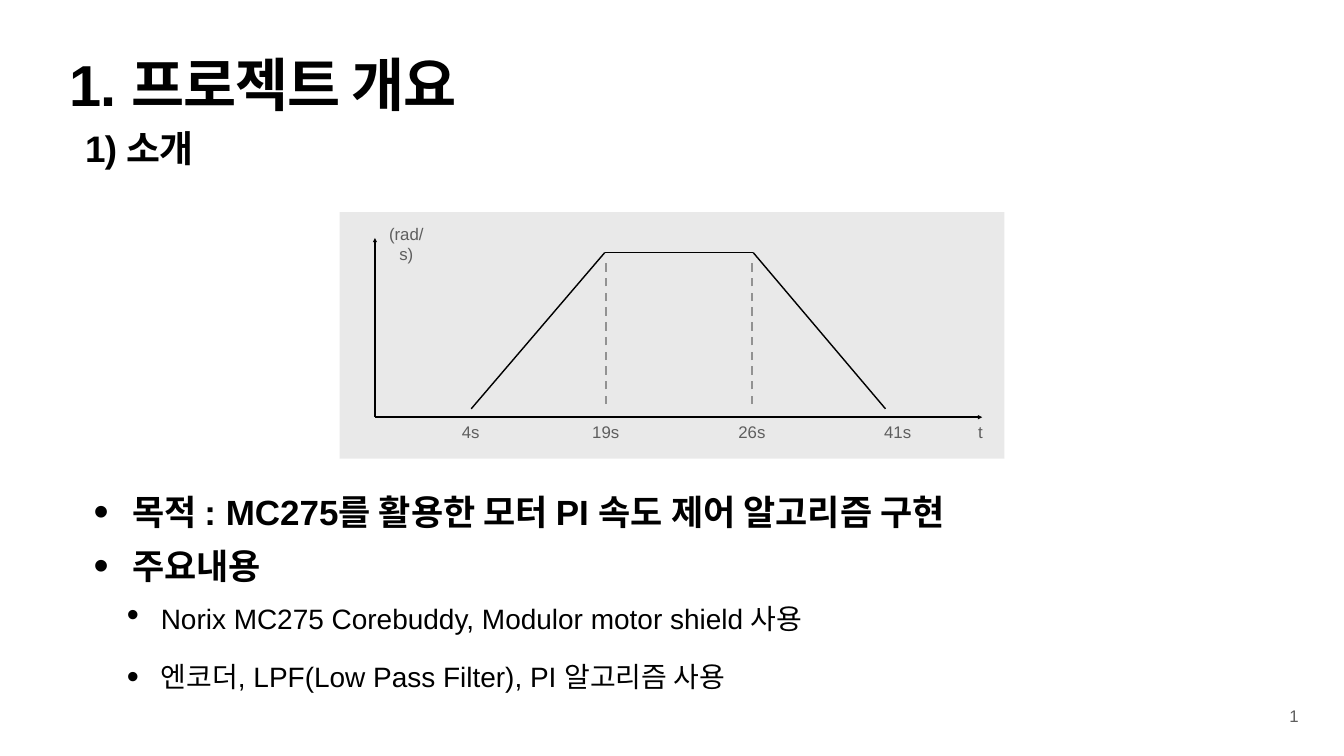
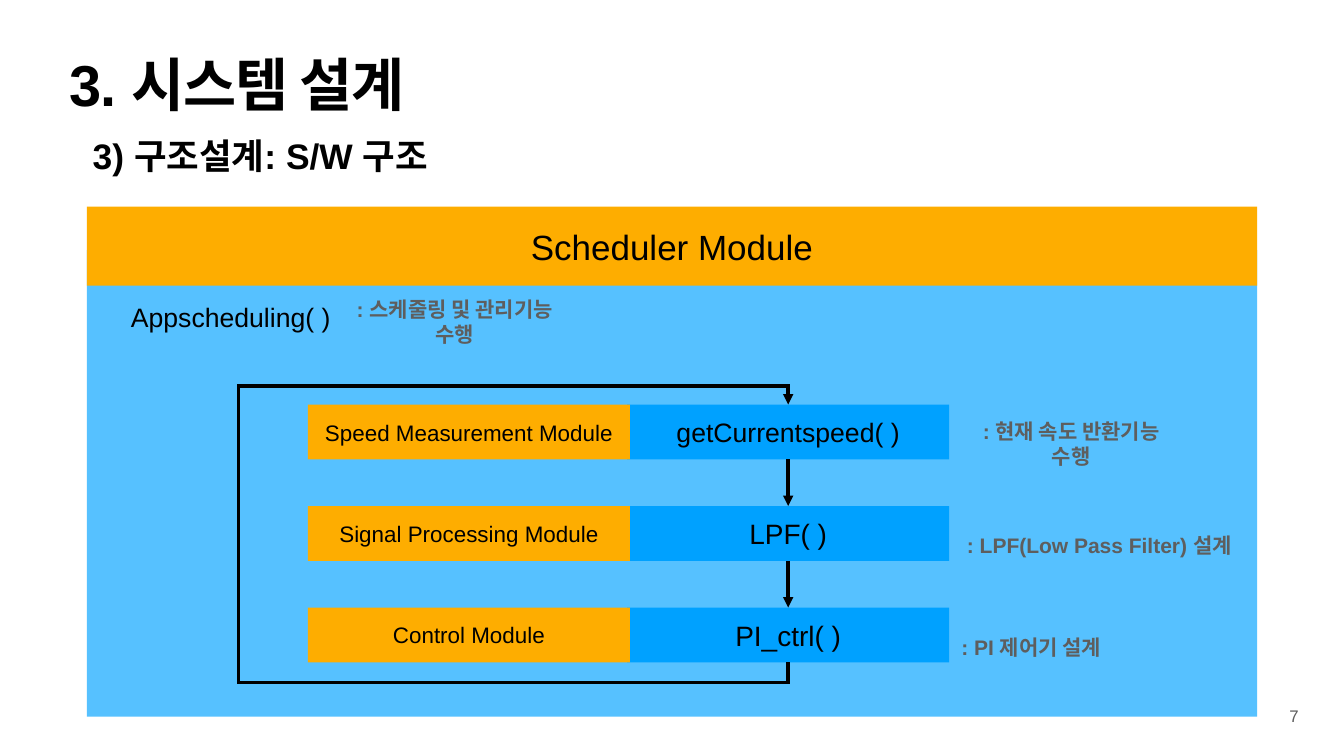
"""Builds two slides on a motor speed control project: overview and software structure."""
from dataclasses import dataclass

from lxml import etree
from pptx import Presentation
from pptx import util as u
from pptx.dml.color import RGBColor
from pptx.enum import dml, shapes, text
from pptx.oxml.ns import qn


@dataclass(frozen=True)
class Theme:
    font: str = "Arial"
    ink: str = "000000"
    muted: str = "5E5E5E"
    dash: str = "929292"
    plot: str = "D5D5D5"
    sky: str = "56C1FF"
    blue: str = "00A1FF"
    amber: str = "FEAD00"
    title: float = 82.5
    heading: float = 50
    function: float = 40
    call: float = 38
    module: float = 32
    note: float = 30
    label: float = 24


THEME = Theme()
WIDTH, HEIGHT = u.Inches(26.67), u.Inches(15)
COLUMNS, ROWS = 96, 54
INSET = u.Inches(0.06)

OVERVIEW = {
    "title": "1. 프로젝트 개요",
    "subtitle": "1) 소개",
    "subtitle_style": {"size": 52.7, "tracking": -110},
    "subtitle_spacing": 0.8,
    "subtitle_indent": 0.31,
    "number": "1",
}
STRUCTURE = {
    "title": "3. 시스템 설계",
    "subtitle": "3) 구조설계: S/W 구조",
    "subtitle_style": {"size": 50.6},
    "subtitle_spacing": 1.0,
    "subtitle_indent": 0.46,
    "number": "7",
}

# level, text, line spacing, space before
POINTS = [
    (0, "목적 : MC275를 활용한 모터 PI 속도 제어 알고리즘 구현", 1.0, 0),
    (0, "주요내용", 1.0, 17),
    (1, "Norix MC275 Corebuddy, Modulor motor shield 사용", 0.4, 45),
    (1, "엔코더, LPF(Low Pass Filter), PI 알고리즘 사용", 0.9, 45),
]
POINT_INDENTS = [(0.76, -0.76), (1.33, -0.67)]

PLOT = (24.26, 15.16, 47.48, 17.6)
PROFILE = [(33.66, 29.2), (43.2, 18.04), (53.8, 18.04), (63.25, 29.2)]
ORIGIN, TIME_END, SPEED_END = (26.78, 29.8), (70.16, 29.8), (26.78, 17)
DASHED_COLUMNS, DASH_TOP, DASH_BOTTOM = (43.3, 53.7), 18.36, 28.87
TICKS = [("4s", 33.62, 1.8), ("19s", 43.27, 2.52), ("26s", 53.71, 2.52), ("41s", 64.12, 2.52)]
AXIS_NAMES = [("t", (69.62, 29.95, 0.83, 1.8)), ("(rad/s)", (27.11, 16.49, 3.82, 1.8))]

MODULES = [
    ("Speed Measurement Module", "getCurrentspeed( )", THEME.call, ": 현재 속도 반환기능 수행", 16.13),
    ("Signal Processing Module", "LPF( )", THEME.function, ": LPF(Low Pass Filter) 설계", 20.16),
    ("Control Module", "PI_ctrl( )", THEME.function, ": PI 제어기 설계", 10.44),
]
MODULE_TOP, MODULE_PITCH, MODULE_HEIGHT, MODULE_WIDTH = 28.9, 7.25, 3.92, 23
NAME_LEFT, FUNCTION_LEFT, NOTE_LEFT, NOTE_DROP = 22, 44.8, 68.45, 1.57
LOOP_LEFT, LOOP_TOP, LOOP_BOTTOM = 17.05, 27.58, 48.75


def across(columns):
    return round(columns * WIDTH / COLUMNS)


def down(rows):
    return round(rows * HEIGHT / ROWS)


def place(area):
    left, top, width, height = area
    return across(left), down(top), across(width), down(height)


def rgb(color):
    return RGBColor.from_string(color)


def format_spans(para, size, color=THEME.ink, bold=False, tracking=None):
    for span in para.runs:
        span.font.name = THEME.font
        span.font.size = u.Pt(size)
        span.font.bold = bold
        span.font.color.rgb = rgb(color)
        if tracking:
            span._r.get_or_add_rPr().set("spc", str(tracking))


def set_indent(para, left, first, bullet=False):
    props = para._p.get_or_add_pPr()
    props.set("marL", str(u.Inches(left)))
    props.set("indent", str(u.Inches(first)))
    if bullet:
        etree.SubElement(props, qn("a:buSzPct"), val="123000")
        etree.SubElement(props, qn("a:buChar"), char="•")
    else:
        etree.SubElement(props, qn("a:buNone"))


def set_frame(frame, anchor):
    frame.word_wrap = True
    frame.auto_size = text.MSO_AUTO_SIZE.NONE
    frame.vertical_anchor = anchor
    frame.margin_left = frame.margin_right = INSET
    frame.margin_top = frame.margin_bottom = INSET


def write(box, words, size, **style):
    frame = box.text_frame
    set_frame(frame, text.MSO_ANCHOR.MIDDLE)
    frame.text = words
    para = frame.paragraphs[0]
    para.alignment = text.PP_ALIGN.CENTER
    format_spans(para, size, **style)


def add_label(page, area, words, size=THEME.label, color=THEME.muted, bold=False):
    write(page.shapes.add_textbox(*place(area)), words, size, color=color, bold=bold)


def add_block(page, area, fill, words="", size=THEME.heading):
    block = page.shapes.add_shape(shapes.MSO_SHAPE.RECTANGLE, *place(area))
    block.shadow.inherit = False
    block.fill.solid()
    block.fill.fore_color.rgb = rgb(fill)
    block.line.fill.background()
    if words:
        write(block, words, size)
    return block


def add_line(page, start, end, weight, color=THEME.ink, arrow=False, dashed=False):
    line = page.shapes.add_connector(
        shapes.MSO_CONNECTOR.STRAIGHT,
        across(start[0]), down(start[1]), across(end[0]), down(end[1]))
    line.line.width = u.Pt(weight)
    line.line.color.rgb = rgb(color)
    if dashed:
        line.line.dash_style = dml.MSO_LINE.DASH
    if arrow:
        etree.SubElement(line.line._get_or_add_ln(), qn("a:tailEnd"), type="triangle")
    etree.SubElement(line._element.spPr, qn("a:effectLst"))
    return line


def fill_placeholder(holder, area):
    holder.left, holder.top, holder.width, holder.height = place(area)
    set_frame(holder.text_frame, text.MSO_ANCHOR.TOP)
    return holder.text_frame


def add_page(deck, layout, content):
    page = deck.slides.add_slide(deck.slide_layouts[layout])

    frame = fill_placeholder(page.shapes.title, (4.75, 4.25, 86.5, 5.65))
    frame.text = content["title"]
    para = frame.paragraphs[0]
    para.alignment = text.PP_ALIGN.LEFT
    para.line_spacing = 0.8
    format_spans(para, THEME.title, bold=True, tracking=-160)

    frame = fill_placeholder(page.placeholders[1], (4.75, 9.36, 86.5, 3.6))
    frame.text = content["subtitle"]
    para = frame.paragraphs[0]
    para.level = 1
    set_indent(para, 0, content["subtitle_indent"])
    para.space_before = u.Pt(0)
    para.line_spacing = content["subtitle_spacing"]
    format_spans(para, bold=True, **content["subtitle_style"])

    add_label(page, (91.87, 50.22, 1.12, 1.8), content["number"])
    return page


def add_points(page):
    frame = fill_placeholder(page.placeholders[2], (6.48, 34.85, 83, 16.38))
    frame.text = "\n".join(words for _, words, _, _ in POINTS)
    for para, (level, _, spacing, before) in zip(frame.paragraphs, POINTS):
        para.level = level
        set_indent(para, *POINT_INDENTS[level], bullet=True)
        para.line_spacing = spacing
        para.space_before = u.Pt(before)
        format_spans(para, THEME.function if level else THEME.heading, bold=not level)


def add_speed_profile(page):
    panel = add_block(page, PLOT, THEME.plot)
    color = panel._element.spPr.find(qn("a:solidFill"))[0]
    etree.SubElement(color, qn("a:alpha"), val="50000")
    for start, end in zip(PROFILE, PROFILE[1:]):
        add_line(page, start, end, 2)
    for column in DASHED_COLUMNS:
        add_line(page, (column, DASH_BOTTOM), (column, DASH_TOP), 3, THEME.dash, dashed=True)
    for end in (TIME_END, SPEED_END):
        add_line(page, ORIGIN, end, 2, arrow=True)
    for words, center, width in TICKS:
        add_label(page, (center - width / 2, 29.92, width, 1.9), words)
    for words, area in AXIS_NAMES:
        add_label(page, area, words)


def add_modules(page):
    functions = []
    for row, (name, function, size, note, note_width) in enumerate(MODULES):
        top = MODULE_TOP + row * MODULE_PITCH
        functions.append(add_block(
            page, (FUNCTION_LEFT, top, MODULE_WIDTH, MODULE_HEIGHT), THEME.blue, function, size))
        add_block(page, (NAME_LEFT, top, MODULE_WIDTH, MODULE_HEIGHT),
                  THEME.amber, name, THEME.module)
        add_label(page, (NOTE_LEFT, top + NOTE_DROP, note_width, 2.48), note, THEME.note, bold=True)
    return functions


def add_flow(page, functions):
    center = FUNCTION_LEFT + MODULE_WIDTH / 2
    for upper, lower in zip(functions, functions[1:]):
        arrow = add_line(page, (center, 0), (center, 1), 5, arrow=True)
        arrow.begin_connect(upper, 2)
        arrow.end_connect(lower, 0)

    bottom = MODULE_TOP + (len(MODULES) - 1) * MODULE_PITCH + MODULE_HEIGHT
    loop = [(center, bottom), (center, LOOP_BOTTOM), (LOOP_LEFT, LOOP_BOTTOM),
            (LOOP_LEFT, LOOP_TOP), (center, LOOP_TOP), (center, MODULE_TOP)]
    last = len(loop) - 2
    sides = [add_line(page, start, end, 5, arrow=index == last)
             for index, (start, end) in enumerate(zip(loop, loop[1:]))]
    for side in sides[1:-1]:
        side.line._get_or_add_ln().set("cap", "sq")
    sides[0].begin_connect(functions[-1], 2)
    sides[-1].end_connect(functions[0], 0)


def add_scheduler(page):
    add_block(page, (6.2, 17.86, 83.6, 33.33), THEME.sky)
    add_block(page, (6.2, 14.76, 83.6, 5.65), THEME.amber, "Scheduler Module")
    add_label(page, (8.89, 21.31, 15.19, 2.63), "Appscheduling( )", THEME.call, THEME.ink)
    add_label(page, (24.08, 21.78, 16.81, 2.34), ": 스케줄링 및 관리기능 수행",
              THEME.note, bold=True)
    add_flow(page, add_modules(page))


def main():
    deck = Presentation()
    deck.slide_width, deck.slide_height = WIDTH, HEIGHT
    overview = add_page(deck, 3, OVERVIEW)
    add_points(overview)
    add_speed_profile(overview)
    add_scheduler(add_page(deck, 1, STRUCTURE))
    deck.save("out.pptx")


if __name__ == "__main__":
    main()
